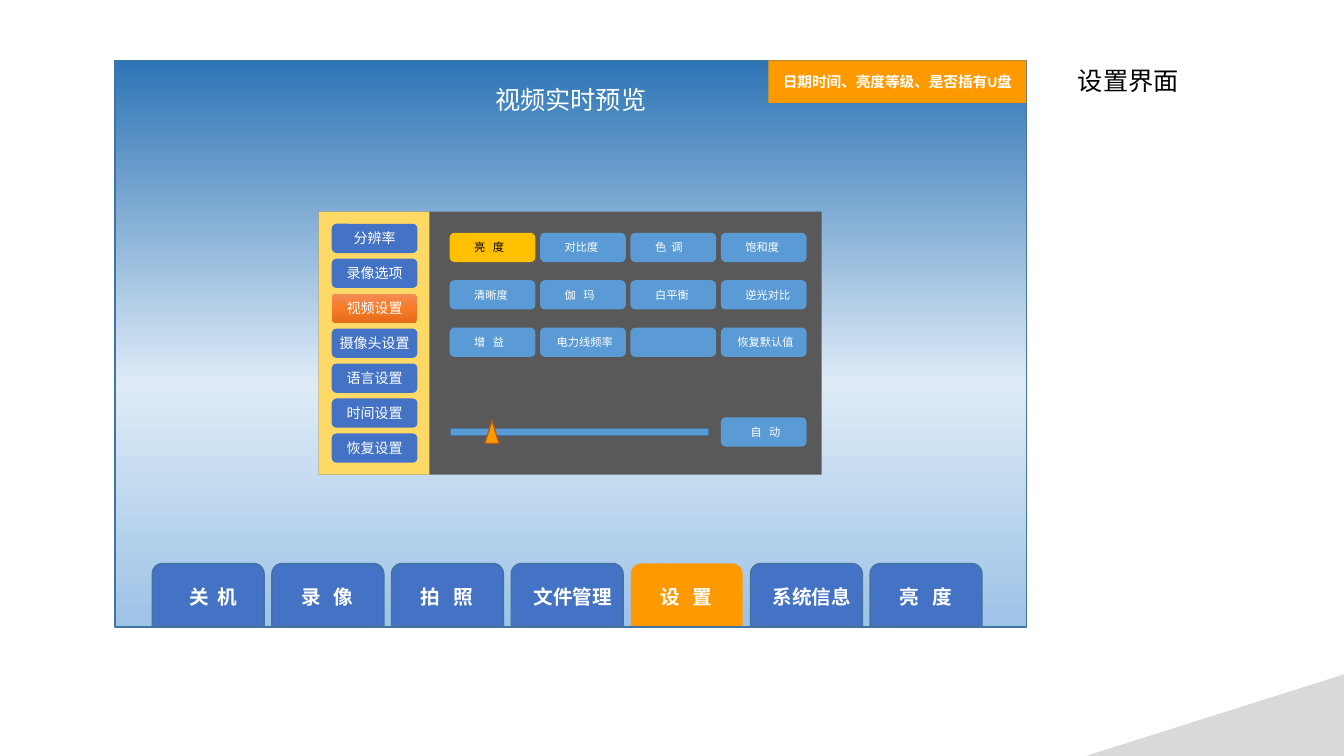
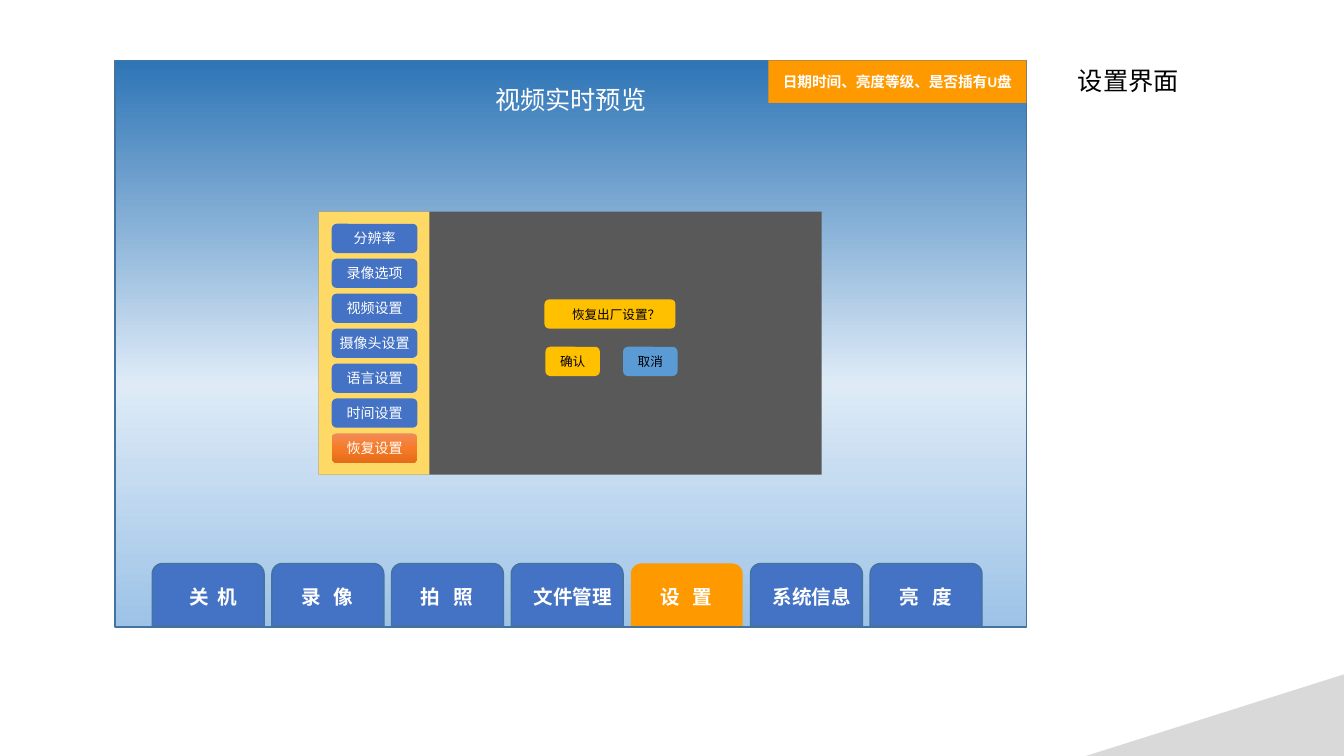
from pptx import Presentation
from pptx.dml.color import RGBColor
from pptx.enum.shapes import MSO_SHAPE as Form
from pptx.enum.text import MSO_ANCHOR as Anchor, PP_ALIGN as Align
from pptx.oxml.ns import qn
from pptx.util import Inches, Pt
from lxml.etree import SubElement

FONT = "Calibri"
WHITE, BLACK = "FFFFFF", "000000"
BLUE, SKY, EDGE = "4472C4", "5B9BD5", "43739E"
ORANGE, GOLD, SAND = "FF9900", "FFC000", "FFD966"
DARK, GREY, RUST = "595959", "D9D9D9", "AF5C24"
DUSK = [(0, "2E75B6"), (57, "DEEBF7"), (100, "9DC3E6")]
GLOW = [(0, "F18C57"), (50, "F67B28"), (100, "E56C19")]

TITLE = "设置界面"
VIEW = "视频实时预览"
STATUS = "日期时间、亮度等级、是否插有U盘"
# label, left inset, letter spacing as a share of the text size
TABS = [("关 机", 0.34, 0.11), ("录 像", 0.26, 0.22), ("拍 照", 0.26, 0.22),
        ("文件管理", 0.19, 0), ("设 置", 0.26, 0.22),
        ("系统信息", 0.19, 0), ("亮 度", 0.26, 0.22)]
MENU = ["分辨率", "录像选项", "视频设置", "摄像头设置",
        "语言设置", "时间设置", "恢复设置"]
KNOBS = [
    [("亮 度", 0.23, 0.22), ("对比度", 0.23, 0), ("色 调", 0.23, 0.11), ("饱和度", 0.23, 0)],
    [("清晰度", 0.23, 0), ("伽 玛", 0.23, 0.22), ("白平衡", 0.23, 0), ("逆光对比", 0.23, 0)],
    [("增 益", 0.23, 0.22), ("电力线频率", 0.15, 0), ("", 0, 0), ("恢复默认值", 0.15, 0)],
]
AUTO = ("自 动", 0.28, 0.22)
ASK = [("恢复出厂设置？", 5.4, 2.97, 1.3, GOLD, 0.26),
       ("确认", 5.41, 3.44, 0.54, GOLD, None),
       ("取消", 6.18, 3.44, 0.54, SKY, None)]

WIDE, HIGH = 13.33, 7.5
LEFT, TOP, SPAN, DROP = 1.14, 0.6, 9.04, 5.62
KEY_W, KEY_H = 0.85, 0.29
COL, ROW = 2.69 / 3, 0.47


def rgb(code):
    return RGBColor.from_string(code)


def blend(shape, stops):
    """Fill the shape with a top-to-bottom gradient."""
    shape.fill.gradient()
    shape.fill.gradient_angle = 270
    ramp = shape._element.spPr.find(qn("a:gradFill")).find(qn("a:gsLst"))
    for stop in list(ramp):
        ramp.remove(stop)
    for pos, code in stops:
        stop = SubElement(ramp, qn("a:gs"), pos=str(pos * 1000))
        SubElement(stop, qn("a:srgbClr"), val=code)


def write(shape, text, size, color=WHITE, bold=False, inset=None, spread=0):
    """Put one line in the shape: centred, or left-aligned after an inset."""
    frame = shape.text_frame
    frame.word_wrap = True
    frame.vertical_anchor = Anchor.MIDDLE
    frame.margin_left = Inches(inset or 0)
    frame.margin_right = frame.margin_top = frame.margin_bottom = 0
    line = frame.paragraphs[0]
    line.alignment = Align.CENTER if inset is None else Align.LEFT
    run = line.add_run()
    run.text = text
    font = run.font
    font.name, font.size, font.bold = FONT, Pt(size), bold
    font.color.rgb = rgb(color)
    if spread:
        run._r.get_or_add_rPr().set("spc", str(round(spread * size * 100)))


def draw(slide, form, x, y, w, h, fill, edge=None):
    shape = slide.shapes.add_shape(form, Inches(x), Inches(y), Inches(w), Inches(h))
    shape.shadow.inherit = False
    if isinstance(fill, list):
        blend(shape, fill)
    else:
        shape.fill.solid()
        shape.fill.fore_color.rgb = rgb(fill)
    if edge:
        shape.line.color.rgb = rgb(edge)
        shape.line.width = Pt(1)
    else:
        shape.line.fill.background()
    return shape


def key(slide, x, y, fill, w=KEY_W):
    return draw(slide, Form.ROUNDED_RECTANGLE, x, y, w, KEY_H, fill)


def base(deck, chosen):
    """Add a slide with the screen, tabs and menu, one menu entry lit."""
    slide = deck.slides.add_slide(deck.slide_layouts[5])
    title = slide.shapes.title
    title.left, title.top = Inches(10.59), Inches(TOP)
    title.width, title.height = Inches(1.3), Inches(0.4)
    write(title, TITLE, 18, BLACK, inset=0.1)

    draw(slide, Form.RECTANGLE, LEFT, TOP, SPAN, DROP, DUSK, EDGE)
    for i, (text, inset, spread) in enumerate(TABS):
        lit = text == "设 置"
        tab = draw(slide, Form.ROUND_2_SAME_RECTANGLE, 1.51 + i * 7.12 / 6, 5.59,
                   1.11, 0.62, ORANGE if lit else BLUE, None if lit else EDGE)
        write(tab, text, 14, bold=True, inset=inset, spread=spread)
    bar = draw(slide, Form.RECTANGLE, LEFT + SPAN - 2.56, TOP, 2.56, 0.42, ORANGE)
    write(bar, STATUS, 10.5, bold=True)
    view = slide.shapes.add_textbox(Inches(LEFT), Inches(0.79), Inches(SPAN), Inches(0.4))
    write(view, VIEW, 18)

    draw(slide, Form.RECTANGLE, 3.16, 2.1, 4.99, 2.61, DARK)
    draw(slide, Form.RECTANGLE, 3.16, 2.1, 1.1, 2.61, SAND)
    for i, text in enumerate(MENU):
        item = key(slide, 3.29, 2.22 + i * 2.08 / 6, GLOW if text == chosen else BLUE)
        write(item, text, 10)
    corner = draw(slide, Form.RIGHT_TRIANGLE, WIDE - 2.56, HIGH - 0.81, 2.56, 0.81, GREY)
    corner._element.spPr.xfrm.set("flipH", "1")
    return slide


def video(deck):
    slide = base(deck, "视频设置")
    for r, row in enumerate(KNOBS):
        for c, (text, inset, spread) in enumerate(row):
            lit = r == c == 0
            knob = key(slide, 4.46 + c * COL, 2.31 + r * ROW, GOLD if lit else SKY)
            if text:
                write(knob, text, 8, BLACK if lit else WHITE, inset=inset, spread=spread)
    draw(slide, Form.RECTANGLE, 4.47, 4.25, 2.56, 0.07, SKY, EDGE)
    draw(slide, Form.ISOSCELES_TRIANGLE, 4.81, 4.17, 0.14, 0.23, ORANGE, RUST)
    text, inset, spread = AUTO
    write(key(slide, 4.46 + 3 * COL, 4.14, SKY), text, 8, inset=inset, spread=spread)


def reset(deck):
    slide = base(deck, "恢复设置")
    for text, x, y, w, fill, inset in ASK:
        write(key(slide, x, y, fill, w), text, 9, BLACK, inset=inset)


def main():
    deck = Presentation()
    deck.slide_width, deck.slide_height = Inches(WIDE), Inches(HIGH)
    video(deck)
    reset(deck)
    deck.save("out.pptx")


if __name__ == "__main__":
    main()
